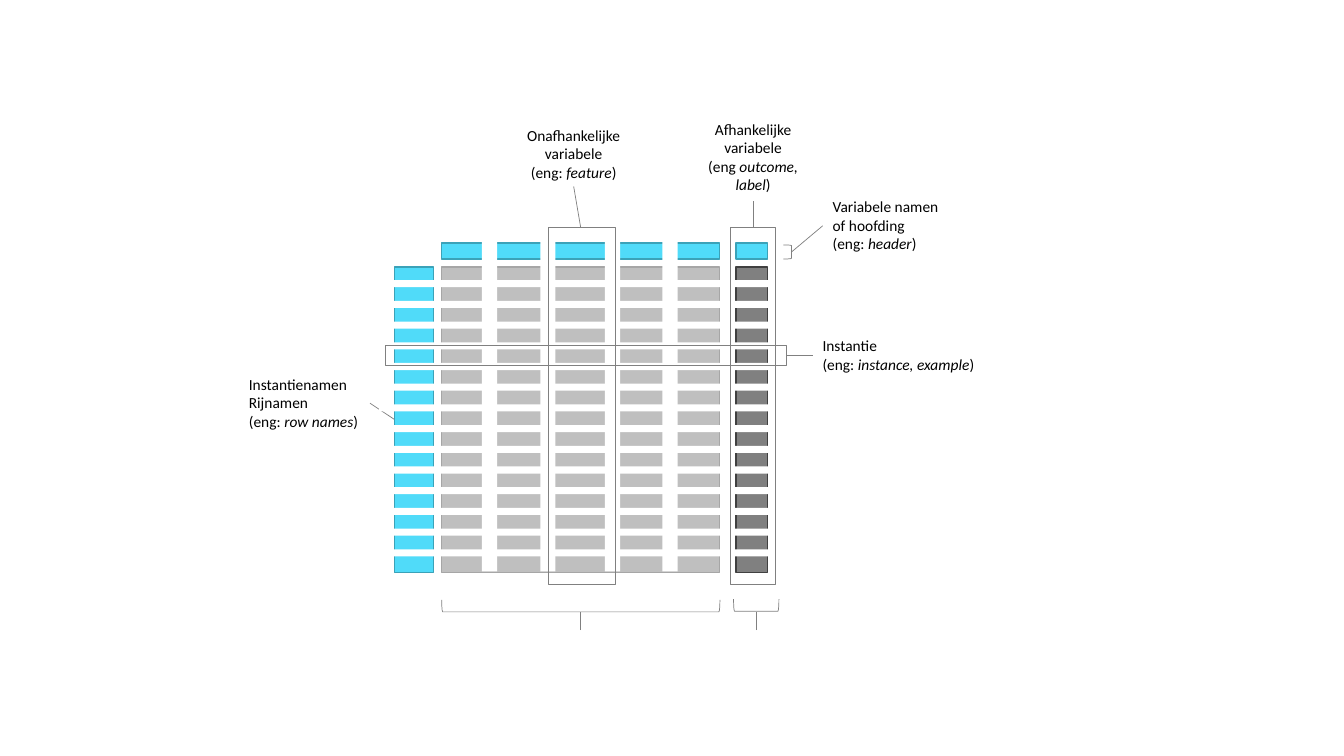
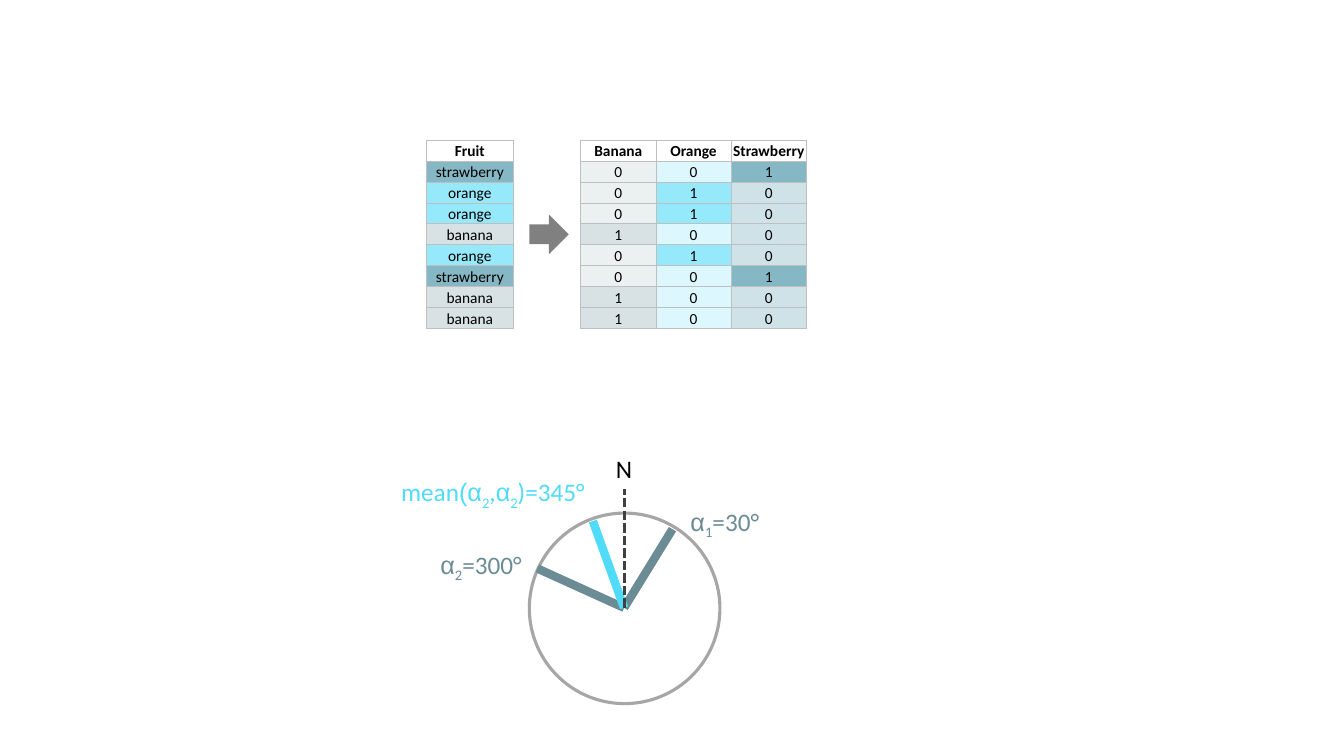
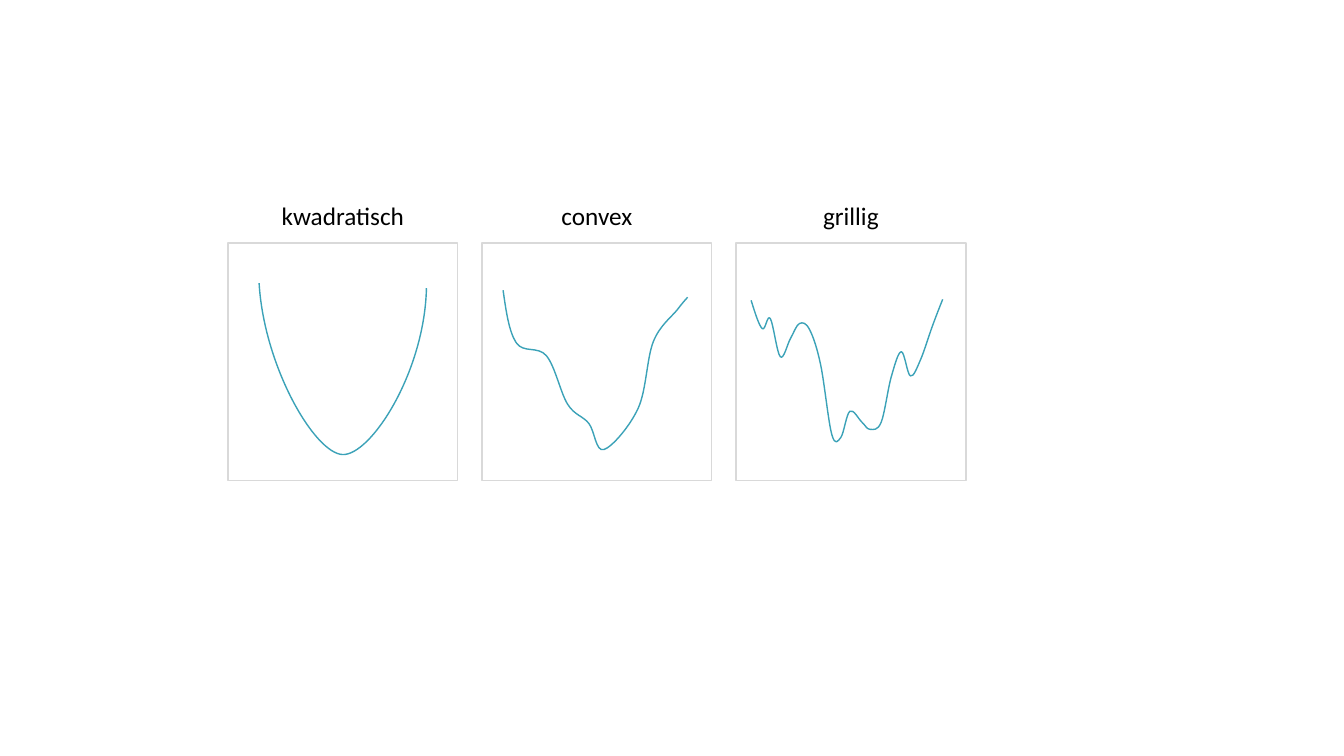
from dataclasses import dataclass
from typing import Optional

from lxml import etree
from pptx import Presentation
from pptx import util as u
from pptx.dml.color import RGBColor
from pptx.enum import dml, shapes, text
from pptx.oxml.ns import qn

COLORS = {
    "black": "000000", "white": "FFFFFF", "cyan": "50DBF9", "teal": "3BA2B8",
    "slate": "6B8C95", "charcoal": "404040", "gray": "808080", "midgray": "A6A6A6",
    "silver": "BFBFBF", "mist": "D9D9D9",
    "strawberry": "85B7C4", "strawberry pale": "CEE2E7",
    "orange": "96E9FB", "orange pale": "DCF8FE",
    "banana": "D8E1E3", "banana pale": "EBF0F1",
}
FONT = "Calibri"
PLAIN_TABLE = "{2D5ABB26-0587-4C30-8999-92F81FD0307C}"
SHAPE = shapes.MSO_SHAPE
Point = tuple[float, float]


@dataclass(frozen=True)
class Span:
    text: str
    italic: bool = False
    font: str = FONT
    sub: bool = False


@dataclass(frozen=True)
class Label:
    box: tuple[float, float, float, float]
    lines: list[list[Span]]
    size: int = 11
    color: str = "black"
    centered: bool = False
    wrap: bool = False


@dataclass(frozen=True)
class Box:
    left: float
    top: float
    width: float
    height: float
    fill: Optional[str] = None
    line: Optional[str] = None
    weight: float = 1
    kind: shapes.MSO_SHAPE = SHAPE.RECTANGLE
    rotation: float = 0


@dataclass(frozen=True)
class Stroke:
    start: Point
    end: Point
    color: str = "gray"
    weight: float = 0.5
    dashed: bool = False


@dataclass(frozen=True)
class Panel:
    title: str
    title_width: float
    knots: list[Point]
    handles: Optional[tuple[Point, Point]] = None


# Shared drawing functions
def rgb(name: str) -> RGBColor:
    return RGBColor.from_string(COLORS[name])


def style(shape, fill: Optional[str], line: Optional[str], weight: float) -> None:
    shape.shadow.inherit = False
    if fill:
        shape.fill.solid()
        shape.fill.fore_color.rgb = rgb(fill)
    else:
        shape.fill.background()
    if line:
        shape.line.color.rgb = rgb(line)
        shape.line.width = u.Pt(weight)
    else:
        shape.line.fill.background()


def draw_box(parent, box: Box) -> None:
    shape = parent.shapes.add_shape(
        box.kind, *map(u.Inches, (box.left, box.top, box.width, box.height)))
    shape.rotation = box.rotation
    style(shape, box.fill, box.line, box.weight)


def draw_stroke(page, stroke: Stroke) -> None:
    line = page.shapes.add_connector(
        shapes.MSO_CONNECTOR.STRAIGHT, *map(u.Inches, stroke.start + stroke.end))
    line.line.color.rgb = rgb(stroke.color)
    line.line.width = u.Pt(stroke.weight)
    if stroke.dashed:
        line.line.dash_style = dml.MSO_LINE.SQUARE_DOT
    etree.SubElement(line._element.spPr, qn("a:effectLst"))


def add_span(para, span: Span, size: int, color: str, bold: bool = False) -> None:
    run = para.add_run()
    run.text = span.text
    run.font.name, run.font.size = span.font, u.Pt(size)
    run.font.italic, run.font.bold = span.italic, bold
    run.font.color.rgb = rgb(color)
    if span.sub:
        run.font._element.set("baseline", "-25000")


def draw_label(page, label: Label) -> None:
    frame = page.shapes.add_textbox(*map(u.Inches, label.box)).text_frame
    frame.word_wrap = label.wrap
    frame.auto_size = text.MSO_AUTO_SIZE.SHAPE_TO_FIT_TEXT
    for index, spans in enumerate(label.lines):
        para = frame.add_paragraph() if index else frame.paragraphs[0]
        if label.centered:
            para.alignment = text.PP_ALIGN.CENTER
        for span in spans:
            add_span(para, span, label.size, label.color)


def draw_all(page, items: list) -> None:
    painters = {Box: draw_box, Stroke: draw_stroke, Label: draw_label}
    for item in items:
        painters[type(item)](page, item)


def english(term: str, lead: str = "(eng: ") -> list[Span]:
    return [Span(lead), Span(term, italic=True), Span(")")]


# Slide 1: parts of a data set
def outline(left: float, top: float, width: float, height: float, rotation: float = 0,
            kind: shapes.MSO_SHAPE = SHAPE.RECTANGLE) -> Box:
    return Box(left, top, width, height, None, "gray", 0.5, kind, rotation)


def draw_dataset(page) -> None:
    body_top, body_height, head_top, head_height = 2.65, 3.03, 2.41, 0.16
    bracket = SHAPE.RIGHT_BRACKET
    # Data block, header and row names
    draw_all(page.shapes.add_group_shape(), [
        Box(4.38, body_top, 2.76, body_height, "silver", "midgray"),
        Box(7.3, body_top, 0.31, body_height, "gray", "charcoal"),
    ])
    draw_all(page, [
        Box(4.38, head_top, 2.76, head_height, "cyan", "teal"),
        Box(7.3, head_top, 0.31, head_height, "cyan", "teal"),
        Box(3.91, body_top, 0.39, body_height, "cyan", "teal"),
        Label((8.16, 1.91, 1.27, 0.66),
              [[Span("Variabele namen")], [Span("of hoofding")], english("header")]),
        outline(7.77, 2.43, 0.08, 0.14, kind=bracket),
        Stroke((7.85, 2.5), (8.16, 2.24)),
        Label((2.37, 3.67, 1.3, 0.66),
              [[Span("Instantienamen")], [Span("Rijnamen")], english("row names")]),
        Stroke((3.67, 4), (3.91, 4.16)),
    ])
    # White gaps between columns and rows
    draw_all(page, [Box(left, 2.4, 0.15, 3.27, "white") for left in (4.78, 5.36, 6, 6.57)])
    draw_all(page, [
        Label((5.09, 1.2, 1.2, 0.66),
              [[Span("Onafhankelijke variabele")], english("feature")],
              centered=True, wrap=True),
        Stroke((5.76, 2.26), (5.69, 1.85)),
        Label((6.87, 1.14, 1.2, 0.84),
              [[Span("Afhankelijke variabele")], english("outcome, label", "(eng ")],
              centered=True, wrap=True),
        Stroke((7.47, 2.26), (7.47, 1.99)),
    ])
    gaps, first, last = 14, 0.85, 3.52
    pitch = (last - first) / (gaps - 1)
    draw_all(page.shapes.add_group_shape(), [
        Box(5.69, first + i * pitch, 0.07, 3.93, "white", rotation=90) for i in range(gaps)])
    # Highlighted row and columns
    draw_all(page, [
        outline(3.82, 3.43, 3.98, 0.2),
        outline(5.7, 3.8, 3.54, 0.45, 270),
        outline(4, 3.7, 3.54, 0.66, 270),
        outline(5.7, 4.63, 0.12, 2.76, 90, bracket),
        outline(7.44, 5.78, 0.12, 0.45, 90, bracket),
        Stroke((7.5, 6.25), (7.5, 6.07)),
        Stroke((5.76, 6.25), (5.76, 6.07)),
        Label((8.06, 3.29, 1.73, 0.47),
              [[Span("Instantie")], english("instance, example")]),
        Stroke((7.8, 3.53), (8.06, 3.53)),
    ])


# Slide 2: one-hot table and mean of angles
FRUITS = ["strawberry", "orange", "orange", "banana",
          "orange", "strawberry", "banana", "banana"]
CLASSES = ["banana", "orange", "strawberry"]
SPACER = 1


def set_borders(cell, sides: str) -> None:
    props = cell._tc.get_or_add_tcPr()
    for side in sides:
        line = etree.SubElement(props, qn(f"a:ln{side}"), w=str(u.Pt(0.5)))
        solid = etree.SubElement(line, qn("a:solidFill"))
        etree.SubElement(solid, qn("a:srgbClr"), val=COLORS["silver"])


def fill_cell(cell, words: str, fill: Optional[str], bold: bool, sides: str) -> None:
    set_borders(cell, sides)
    if fill:
        cell.fill.solid()
        cell.fill.fore_color.rgb = rgb(fill)
    else:
        cell.fill.background()
    cell.margin_left = cell.margin_right = cell.margin_top = cell.margin_bottom = 0
    cell.vertical_anchor = text.MSO_ANCHOR.BOTTOM
    para = cell.text_frame.paragraphs[0]
    para.alignment = text.PP_ALIGN.CENTER
    if words:
        add_span(para, Span(words), 11, "black", bold)
    else:
        para._p.get_or_add_endParaRPr().set("sz", "1100")


def draw_one_hot(page) -> None:
    rows = [[("Fruit", None), ("", None)] + [(name.capitalize(), None) for name in CLASSES]]
    for fruit in FRUITS:
        flags = [("1", name) if name == fruit else ("0", f"{name} pale") for name in CLASSES]
        rows.append([(fruit, fruit), ("", None)] + flags)

    total, fruit_width, spacer_width = 3.77, 0.86, 0.67
    class_width = (total - fruit_width - spacer_width) / len(CLASSES)
    widths = [fruit_width, spacer_width] + [class_width] * len(CLASSES)
    table = page.shapes.add_table(
        len(rows), len(widths), u.Inches(4.23), u.Inches(1.39),
        u.Inches(total), u.Inches(1.87)).table
    table.first_row = table.horz_banding = False
    table._tbl.tblPr.find(qn("a:tableStyleId")).text = PLAIN_TABLE
    for column, width in zip(table.columns, widths):
        column.width = u.Inches(width)
    for r, row in enumerate(rows):
        for c, (words, fill) in enumerate(row):
            fill_cell(table.cell(r, c), words, fill, r == 0, "LR" if c == SPACER else "LRTB")
    table.cell(3, SPACER).merge(table.cell(5, SPACER))
    draw_box(page, Box(5.25, 2.13, 0.39, 0.39, "gray", kind=SHAPE.RIGHT_ARROW))


def alpha(index: str, lead: str = "") -> list[Span]:
    return [Span(f"{lead}α", font="Arial"), Span(index, sub=True)]


def draw_angles(page) -> None:
    center = (6.19, 6.03)
    mean = [Span("mean"), *alpha("2", "("), Span(","), *alpha("2"), Span(")=345°")]
    draw_all(page, [
        Box(5.25, 5.09, 1.89, 1.89, "white", "midgray", 2.25, SHAPE.OVAL),
        Stroke(center, (6.67, 5.25), "slate", 6),
        Stroke((5.33, 5.64), center, "slate", 6),
        Stroke(center, (5.88, 5.17), "cyan", 6),
        Stroke(center, (6.19, 4.85), "charcoal", 2.25, dashed=True),
        Label((6.01, 4.45, 0.36, 0.4), [[Span("N")]], 18),
        Label((6.75, 4.97, 0.92, 0.4), [[*alpha("1"), Span("=30°")]], 18, "slate"),
        Label((4.27, 5.4, 1.04, 0.4), [[*alpha("2"), Span("=300°")]], 18, "slate"),
        Label((3.88, 4.68, 2.1, 0.4), [mean], 18, "cyan"),
    ])


# Slide 3: three kinds of error curve
PANELS = [
    Panel("kwadratisch", 1.43, [(2.57, 2.81), (3.4, 4.51), (4.23, 2.86)],
          ((2.62, 3.64), (4.21, 3.7))),
    Panel("convex", 0.91, [
        (4.99, 2.88), (5.12, 3.4), (5.42, 3.53), (5.63, 4.01), (5.84, 4.2),
        (5.99, 4.46), (6.33, 4.05), (6.48, 3.39), (6.72, 3.07), (6.82, 2.95)]),
    Panel("grillig", 0.76, [
        (7.45, 2.98), (7.56, 3.26), (7.64, 3.16), (7.74, 3.54), (7.84, 3.36),
        (7.93, 3.21), (8.03, 3.27), (8.14, 3.62), (8.25, 4.31), (8.34, 4.34),
        (8.43, 4.08), (8.55, 4.19), (8.63, 4.26), (8.74, 4.19), (8.84, 3.74),
        (8.94, 3.49), (9.03, 3.73), (9.13, 3.57), (9.25, 3.23), (9.35, 2.97)]),
]


def midpoint(a: Point, b: Point) -> Point:
    return (a[0] + b[0]) / 2, (a[1] + b[1]) / 2


def curve_segments(panel: Panel) -> list[tuple[Point, Point, Point]]:
    """Cubic segments whose tangents run parallel to the neighbouring knots."""
    knots, before, after = panel.knots, {}, {}
    for i in range(1, len(knots) - 1):
        (x0, y0), (x, y), (x1, y1) = knots[i - 1:i + 2]
        dx, dy = (x1 - x0) / 6, (y1 - y0) / 6
        before[i], after[i] = (x - dx, y - dy), (x + dx, y + dy)
    end = len(knots) - 1
    after[0], before[end] = panel.handles or (
        midpoint(knots[0], before[1]), midpoint(knots[end], after[end - 1]))
    return [(after[i], before[i + 1], knots[i + 1]) for i in range(end)]


def draw_curve(page, panel: Panel) -> None:
    knots = [(u.Inches(x), u.Inches(y)) for x, y in panel.knots]
    builder = page.shapes.build_freeform(*knots[0])
    builder.add_line_segments(knots[1:], close=False)
    curve = builder.convert_to_shape()
    style(curve, None, "teal", 1)
    # Bend each straight segment into a cubic one
    straight = list(curve._element.iter(qn("a:lnTo")))
    for segment, points in zip(straight, curve_segments(panel)):
        bend = etree.Element(qn("a:cubicBezTo"))
        for x, y in points:
            etree.SubElement(bend, qn("a:pt"), x=str(u.Inches(x) - curve.left),
                             y=str(u.Inches(y) - curve.top))
        segment.getparent().replace(segment, bend)


def draw_panels(page) -> None:
    left, pitch, width = 2.26, 2.52, 2.28
    for index, panel in enumerate(PANELS):
        x = left + index * pitch
        title_left = x + (width - panel.title_width) / 2
        draw_all(page, [
            Box(x, 2.41, width, 2.36, line="mist"),
            Label((title_left, 1.94, panel.title_width, 0.4),
                  [[Span(panel.title)]], 18, centered=True),
        ])
    for panel in PANELS:
        draw_curve(page, panel)


def main() -> None:
    deck = Presentation()
    deck.slide_width, deck.slide_height = u.Inches(13.33), u.Inches(7.5)
    for painters in ([draw_dataset], [draw_one_hot, draw_angles], [draw_panels]):
        page = deck.slides.add_slide(deck.slide_layouts[6])
        for paint in painters:
            paint(page)
    deck.save("out.pptx")


if __name__ == "__main__":
    main()
